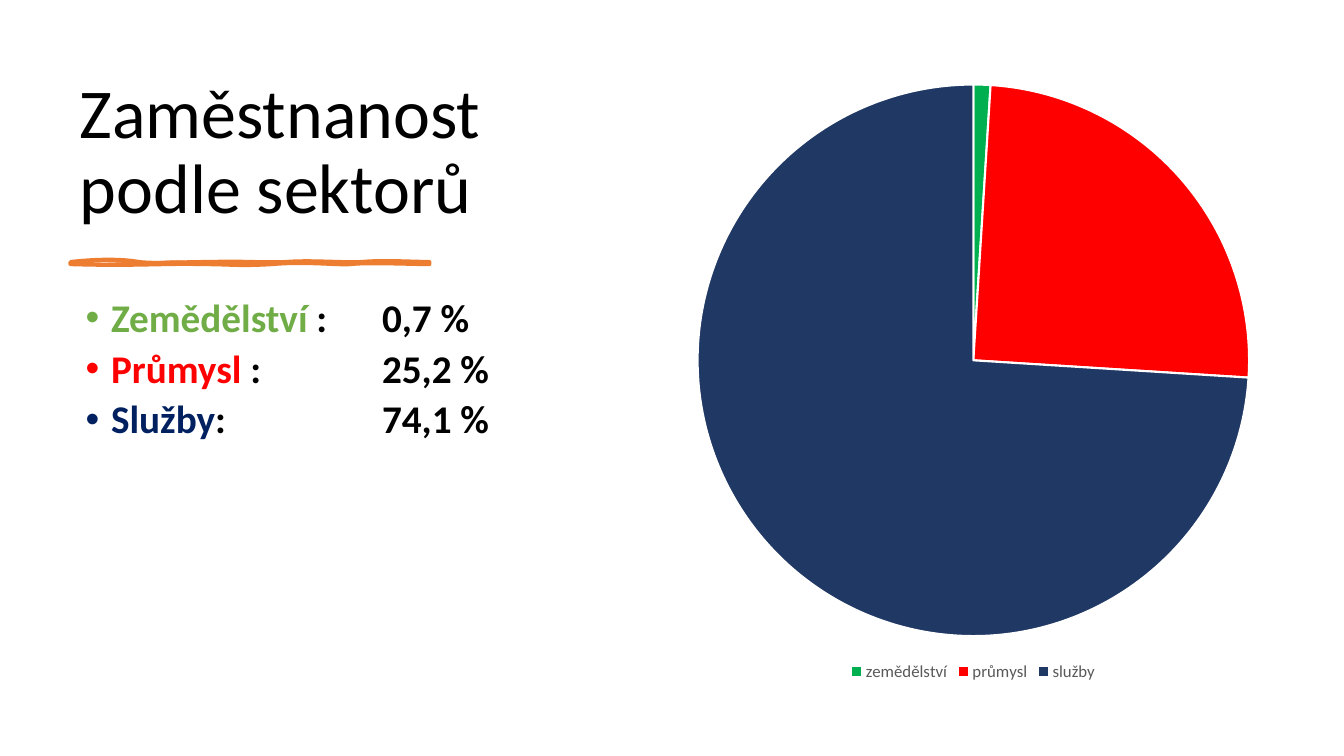
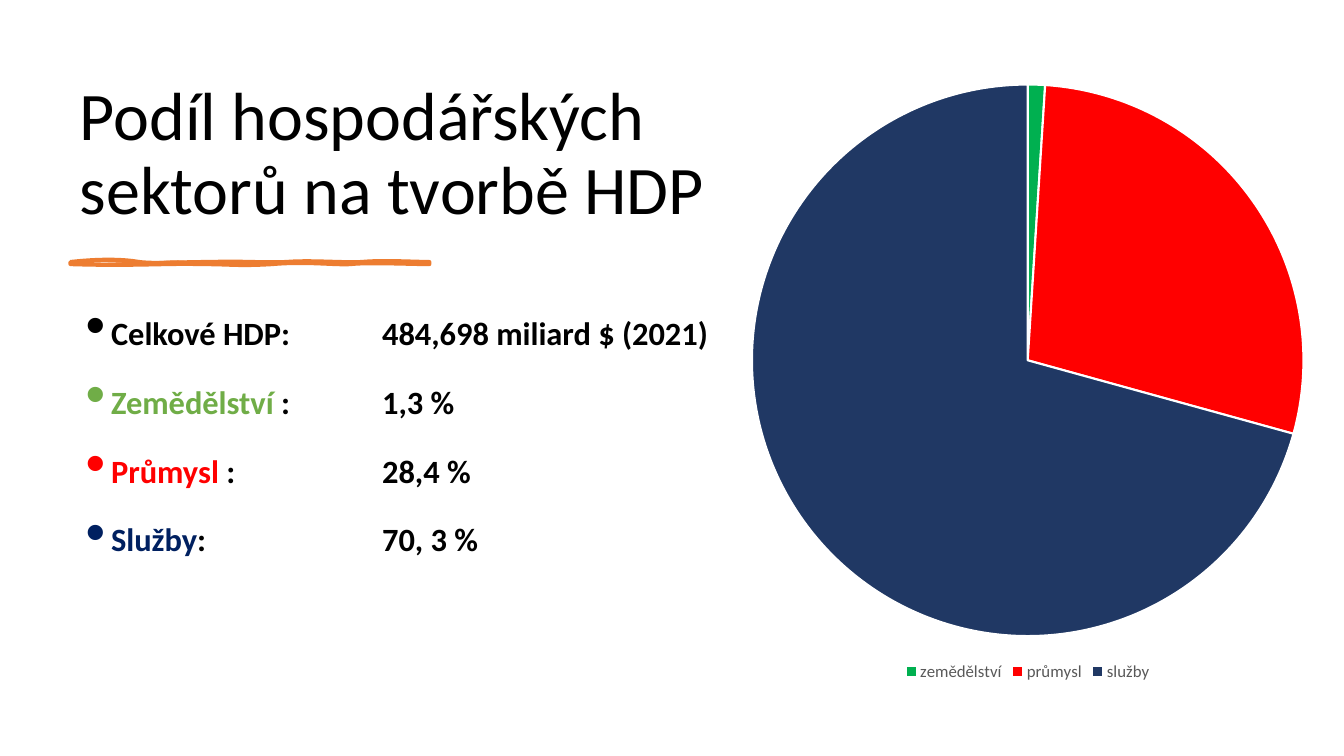
from lxml.etree import SubElement
from pptx import Presentation
from pptx.chart.data import CategoryChartData
from pptx.dml.color import RGBColor
from pptx.enum.chart import XL_CHART_TYPE, XL_LEGEND_POSITION
from pptx.enum.text import MSO_ANCHOR
from pptx.oxml.ns import qn
from pptx.util import Cm, Pt

FONT = "Calibri"
BLACK = RGBColor(0x00, 0x00, 0x00)
WHITE = RGBColor(0xFF, 0xFF, 0xFF)
GREY = RGBColor(0x59, 0x59, 0x59)
ORANGE = RGBColor(0xED, 0x7D, 0x31)
GREEN = RGBColor(0x70, 0xAD, 0x47)
RED = RGBColor(0xFF, 0x00, 0x00)
NAVY = RGBColor(0x00, 0x20, 0x60)
SLICES = {
    "zemědělství": RGBColor(0x00, 0xB0, 0x50),
    "průmysl": RED,
    "služby": RGBColor(0x20, 0x38, 0x64),
}

LEFT = 1.76
TITLE_BOTTOM = 5.89
BODY_TOP, BODY_HEIGHT = 7.4, 9.86
VALUE_TAB = 7.62
CHART_TOP, CHART_WIDTH, CHART_HEIGHT = 1.78, 15.16, 15.49

# Brush stroke in hundredths of an inch: a start point, then three points per curve
STROKE_UNIT = Cm(0.0254)
STROKE_OUTLINE = [
    (70, 260),
    (97, 257), (121, 257), (138, 260), (155, 262), (177, 260), (209, 260),
    (241, 259), (260, 261), (284, 260), (308, 258), (339, 261), (359, 260),
    (379, 258), (412, 260), (426, 260), (426, 260), (426, 261), (426, 262),
    (408, 262), (364, 260), (348, 262), (332, 263), (304, 259), (270, 262),
    (235, 264), (231, 262), (199, 262), (166, 261), (132, 264), (70, 262),
    (70, 261), (70, 260), (70, 260),
]
STROKE_FILL = [
    (70, 260),
    (102, 262), (110, 260), (138, 260), (166, 259), (169, 257), (199, 260),
    (228, 262), (261, 261), (277, 260), (293, 258), (327, 262), (344, 260),
    (362, 257), (397, 263), (426, 260), (426, 260), (426, 261), (426, 262),
    (412, 261), (372, 264), (355, 262), (338, 259), (309, 262), (277, 262),
    (244, 261), (240, 260), (216, 262), (193, 263), (179, 261), (145, 262),
    (111, 262), (92, 261), (70, 262), (70, 261), (70, 260), (70, 260),
]


def lines_to_curves(path):
    """Turn each three line segments of a path into one Bézier curve."""
    lines = path.findall(qn("a:lnTo"))
    for i in range(0, len(lines), 3):
        curve = SubElement(path, qn("a:cubicBezTo"))
        lines[i].addprevious(curve)
        for line in lines[i:i + 3]:
            curve.append(line[0])
            path.remove(line)


class Deck:
    def __init__(self):
        self.prs = Presentation()
        self.prs.slide_width, self.prs.slide_height = Cm(33.87), Cm(19.05)
        self.s = None

    def add_slide(self):
        self.s = self.prs.slides.add_slide(self.prs.slide_layouts[6])

    def text_frame(self, top, width, height):
        box = self.s.shapes.add_textbox(Cm(LEFT), Cm(top), Cm(width), Cm(height))
        box.text_frame.word_wrap = True
        return box.text_frame

    def title(self, text, top, width, size):
        tf = self.text_frame(top, width, TITLE_BOTTOM - top)
        tf.vertical_anchor = MSO_ANCHOR.BOTTOM
        tf.text = text
        p = tf.paragraphs[0]
        p.line_spacing = 0.9
        self.style(p.runs[0], size, BLACK)

    def style(self, r, size, color, bold=False):
        r.font.name, r.font.size, r.font.bold = FONT, Pt(size), bold
        r.font.color.rgb = color

    def brush_stroke(self):
        fb = self.s.shapes.build_freeform(*STROKE_OUTLINE[0], scale=STROKE_UNIT)
        fb.add_line_segments(STROKE_OUTLINE[1:])
        fb.move_to(*STROKE_FILL[0])
        fb.add_line_segments(STROKE_FILL[1:])
        sp = fb.convert_to_shape()
        sp.shadow.inherit = False
        sp.fill.solid()
        sp.fill.fore_color.rgb = ORANGE
        sp.line.color.rgb = ORANGE
        sp.line.width = Pt(3)

        outline = next(sp._element.iter(qn("a:path")))
        filled = SubElement(outline.getparent(), qn("a:path"), dict(outline.attrib))
        second_start = outline.findall(qn("a:moveTo"))[1]
        for el in list(outline)[outline.index(second_start):]:
            filled.append(el)
        outline.set("fill", "none")
        filled.set("stroke", "0")
        for path in (outline, filled):
            lines_to_curves(path)

    def bullets(self, items, width, size, baseline=None):
        """Each item is a list of (text, colour) runs."""
        tf = self.text_frame(BODY_TOP, width, BODY_HEIGHT)
        for i, runs in enumerate(items):
            p = tf.add_paragraph() if i else tf.paragraphs[0]
            pPr = p._p.get_or_add_pPr()
            pPr.set("marL", str(Cm(0.79)))
            pPr.set("indent", str(-Cm(0.64)))
            SubElement(pPr, qn("a:buFont"), typeface="Arial")
            SubElement(pPr, qn("a:buChar"), char="•")
            tabs = SubElement(pPr, qn("a:tabLst"))
            SubElement(tabs, qn("a:tab"), pos=str(Cm(VALUE_TAB)), algn="l")
            p.line_spacing, p.space_after = 0.9, Pt(6)
            for text, color in runs:
                r = p.add_run()
                r.text = text
                self.style(r, size, color, bold=True)
                if baseline:
                    r.font._element.set("baseline", str(baseline))

    def pie(self, left, values):
        data = CategoryChartData()
        data.categories = list(SLICES)
        data.add_series("Series 1", values)
        chart = self.s.shapes.add_chart(
            XL_CHART_TYPE.PIE, Cm(left), Cm(CHART_TOP), Cm(CHART_WIDTH),
            Cm(CHART_HEIGHT), data).chart
        chart.has_title = False
        chart.font.name, chart.font.size = FONT, Pt(10)
        chart.font.color.rgb = BLACK
        chart.has_legend = True
        legend = chart.legend
        legend.position = XL_LEGEND_POSITION.BOTTOM
        legend.include_in_layout = False
        legend.font.name, legend.font.size = FONT, Pt(12)
        legend.font.color.rgb = GREY
        plot = chart.plots[0]
        plot.vary_by_categories = True
        for i, color in enumerate(SLICES.values()):
            fmt = plot.series[0].points[i].format
            fmt.fill.solid()
            fmt.fill.fore_color.rgb = color
            fmt.line.color.rgb = WHITE
            fmt.line.width = Pt(1.5)


def sector_items(agriculture, industry, services):
    return [
        [("Zemědělství", GREEN), (f" :\t{agriculture} %", BLACK)],
        [("Průmysl", RED), (f" :\t{industry} %", BLACK)],
        [("Služby", NAVY), (f":\t{services} %", BLACK)],
    ]


def main():
    deck = Deck()

    deck.add_slide()
    deck.title("Zaměstnanost podle sektorů", 1.78, 13.39, 50)
    deck.brush_stroke()
    deck.bullets(sector_items("0,7", "25,2", "74,1"), 13.39, 28)
    deck.pie(16.95, (1, 25, 74))

    deck.add_slide()
    deck.title("Podíl hospodářských sektorů na tvorbě HDP", 0.61, 16.74, 48.6)
    deck.brush_stroke()
    total = [("Celkové HDP: \t484,698 miliard $ (2021)", BLACK)]
    deck.bullets([total] + sector_items("1,3", "28,4", "70, 3"), 16.94, 40,
                 baseline=3000)
    deck.pie(18.32, (1, 28, 70))

    deck.prs.save("out.pptx")


if __name__ == "__main__":
    main()
